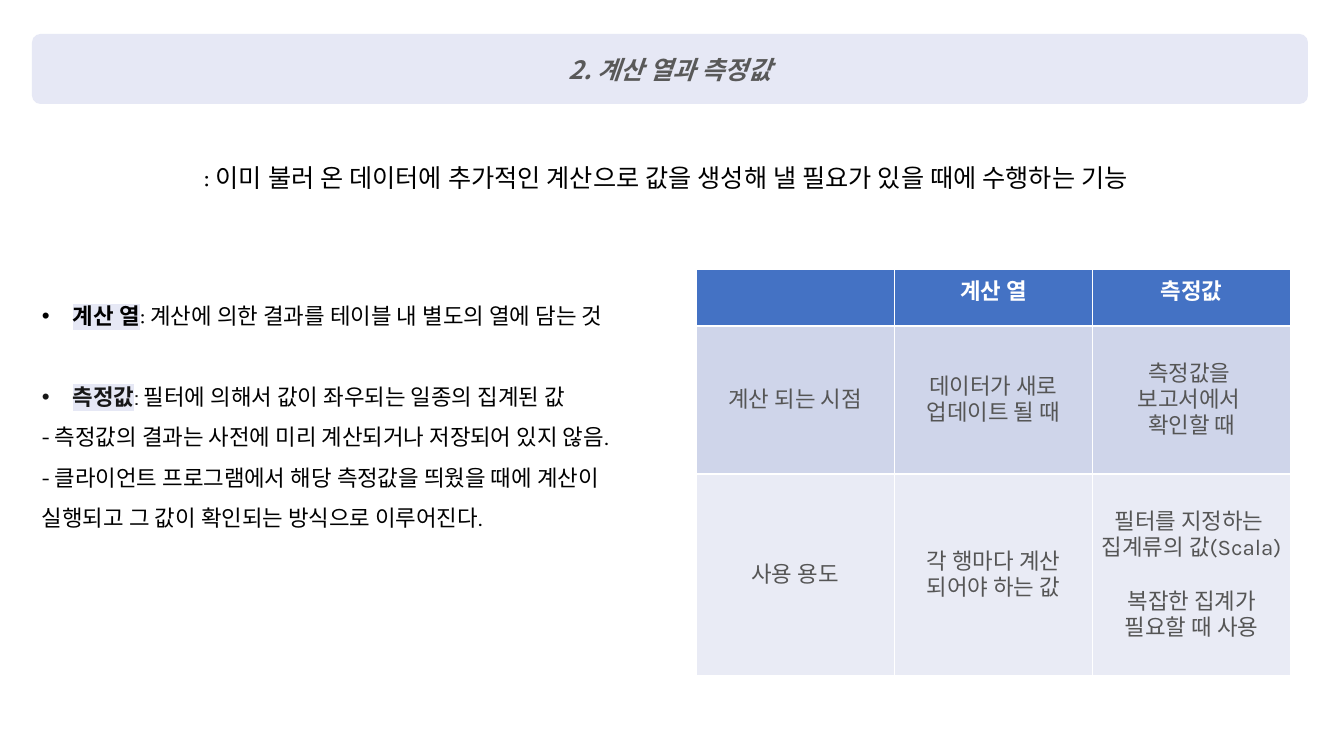
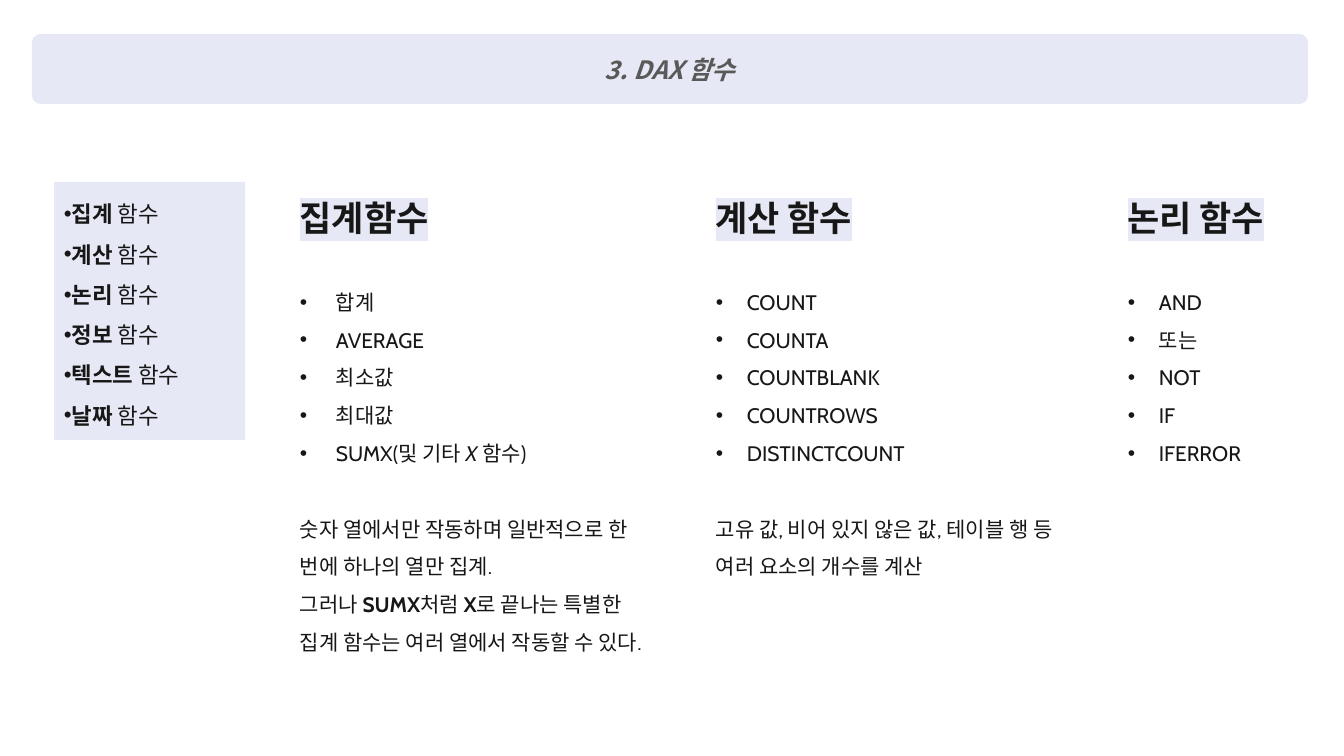
from dataclasses import dataclass, replace

from lxml import etree
from pptx import Presentation
from pptx.dml.color import RGBColor
from pptx.enum import shapes, text
from pptx.oxml import ns
from pptx.util import Pt

# Shared scale, colours and text styles
EMU_PER_PX = 914400 / 100.8
LAVENDER = RGBColor(0xE6, 0xE8, 0xF5)
TITLE_GREY = RGBColor(0x59, 0x59, 0x59)
CELL_GREY = RGBColor(0x55, 0x55, 0x55)
INK = RGBColor(0x17, 0x17, 0x17)
BLACK = RGBColor(0, 0, 0)
WHITE = RGBColor(0xFF, 0xFF, 0xFF)
HEADER_BLUE = RGBColor(0x44, 0x72, 0xC4)
BAND_DARK = RGBColor(0xCF, 0xD5, 0xEA)
BAND_LIGHT = RGBColor(0xE9, 0xEB, 0xF5)
CENTER = text.PP_ALIGN.CENTER
MIDDLE = text.MSO_ANCHOR.MIDDLE


@dataclass(frozen=True)
class Style:
    font: str
    size: int
    color: RGBColor
    bold: bool = False
    italic: bool = False
    marked: bool = False


TITLE = Style("Noto Sans CJK KR", 18, TITLE_GREY, bold=True, italic=True)
LEAD = Style("Karla", 18, BLACK)
NOTE = Style("Karla", 16, BLACK)
NOTE_TERM = replace(NOTE, bold=True, marked=True)
SIDE = Style("Cabin", 16, INK)
SIDE_BOLD = replace(SIDE, bold=True)
SIDE_TERM = replace(SIDE_BOLD, marked=True)
BODY = replace(SIDE, size=15)
BODY_BOLD = replace(BODY, bold=True)
BODY_ITALIC = replace(BODY, italic=True)
HEADING = replace(SIDE_TERM, size=25)
HEAD_CELL = Style("Noto Sans CJK KR", 16, WHITE, bold=True)
CELL = Style("Karla", 16, CELL_GREY)


def px(length):
    return round(length * EMU_PER_PX)


def box_emu(box):
    return [px(side) for side in box]


# Text helpers
def add_run(paragraph, words, style):
    run = paragraph.add_run()
    run.text = words
    font = run.font
    font.name, font.size = style.font, Pt(style.size)
    font.bold, font.italic = style.bold, style.italic
    font.color.rgb = style.color
    props = run._r.get_or_add_rPr()
    east_asian = etree.Element(ns.qn("a:ea"), typeface=style.font)
    props.find(ns.qn("a:latin")).addnext(east_asian)
    if style.marked:
        highlight = etree.Element(ns.qn("a:highlight"))
        etree.SubElement(highlight, ns.qn("a:srgbClr"), val=str(LAVENDER))
        props.find(ns.qn("a:solidFill")).addnext(highlight)


def set_indent(paragraph, margin, first):
    props = paragraph._p.get_or_add_pPr()
    props.set("marL", str(px(margin)))
    props.set("indent", str(px(first)))


def add_bullet(paragraph, hang):
    set_indent(paragraph, hang, -hang)
    props = paragraph._p.get_or_add_pPr()
    etree.SubElement(props, ns.qn("a:buFont"), typeface="Arial")
    etree.SubElement(props, ns.qn("a:buChar"), char="•")


def next_paragraph(frame):
    first = frame.paragraphs[0]
    return frame.add_paragraph() if first.runs else first


def write(frame, runs, hang=None, before=0, spacing=1.5, align=None):
    """Add one paragraph of (words, style) runs; hang=None means no bullet."""
    paragraph = next_paragraph(frame)
    paragraph.line_spacing = spacing
    paragraph.alignment = align
    if before:
        paragraph.space_before = Pt(before)
    if hang is not None:
        add_bullet(paragraph, hang)
    for words, style in runs:
        add_run(paragraph, words, style)
    return paragraph


def add_text_frame(slide, box):
    frame = slide.shapes.add_textbox(*box_emu(box)).text_frame
    frame.word_wrap = True
    return frame


def add_panel(slide, kind, box):
    panel = slide.shapes.add_shape(kind, *box_emu(box))
    panel.shadow.inherit = False
    panel.fill.solid()
    panel.fill.fore_color.rgb = LAVENDER
    panel.line.fill.background()
    return panel


def add_titled_slide(deck, title):
    slide = deck.slides.add_slide(deck.slide_layouts[6])
    band = add_panel(slide, shapes.MSO_SHAPE.ROUNDED_RECTANGLE, (32, 34, 1276, 70))
    band.adjustments[0] = 0.12
    band.text_frame.vertical_anchor = MIDDLE
    write(band.text_frame, [(title, TITLE)], spacing=1, align=CENTER)
    return slide


# Slide 1: calculated columns and measures
def fill_cell(cell, lines, style, color):
    cell.fill.solid()
    cell.fill.fore_color.rgb = color
    for line in lines:
        write(cell.text_frame, [(line, style)], spacing=1, align=CENTER)


def add_comparison(slide, box):
    header = [[], ["계산 열"], ["측정값"]]
    body = [
        [["계산 되는 시점"], ["데이터가 새로", "업데이트 될 때"],
         ["측정값을 ", "보고서에서 ", "확인할 때"]],
        [["사용 용도"], ["각 행마다 계산 되어야 하는 값"],
         ["필터를 지정하는 ", "집계류의 값(Scala)", "복잡한 집계가 필요할 때 사용"]],
    ]
    table = slide.shapes.add_table(3, 3, *box_emu(box)).table
    for column in table.columns:
        column.width = px(box[2] / 3)
    for row, height in zip(table.rows, (57, 148, 202)):
        row.height = px(height)
    for col, lines in enumerate(header):
        fill_cell(table.cell(0, col), lines, HEAD_CELL, HEADER_BLUE)
    for row, (cells, band) in enumerate(zip(body, (BAND_DARK, BAND_LIGHT)), 1):
        for col, lines in enumerate(cells):
            cell = table.cell(row, col)
            cell.vertical_anchor = MIDDLE
            cell.margin_left = cell.margin_right = px(6)
            cell.margin_top = cell.margin_bottom = px(6)
            fill_cell(cell, lines, CELL, band)
    set_indent(table.cell(1, 1).text_frame.paragraphs[0], 0, -20)
    table.cell(2, 2).text_frame.paragraphs[2].space_before = Pt(19.5)


def add_definitions(slide, box):
    frame = add_text_frame(slide, box)
    write(frame, [("계산 열", NOTE_TERM),
                  (": 계산에 의한 결과를 테이블 내 별도의 열에 담는 것", NOTE)], hang=31)
    write(frame, [("측정값", SIDE_TERM), (": ", SIDE),
                  ("필터에 의해서 값이 좌우되는 일종의 집계된 값", NOTE)],
          hang=31, before=29)
    for remark in (
        "- 측정값의 결과는 사전에 미리 계산되거나 저장되어 있지 않음.",
        "- 클라이언트 프로그램에서 해당 측정값을 띄웠을 때에 계산이 실행되고 "
        "그 값이 확인되는 방식으로 이루어진다.",
    ):
        write(frame, [(remark, NOTE)])


def add_measure_slide(deck):
    slide = add_titled_slide(deck, "2. 계산 열과 측정값")
    add_comparison(slide, (696, 269, 595, 407))
    add_definitions(slide, (32, 284, 644, 291))
    lead = add_text_frame(slide, (194, 142, 1034, 51))
    write(lead, [(": 이미 불러 온 데이터에 추가적인 계산으로 값을 생성해 낼 "
                  "필요가 있을 때에 수행하는 기능", LEAD)])


# Slide 2: DAX functions
def add_category_panel(slide, box):
    panel = add_panel(slide, shapes.MSO_SHAPE.RECTANGLE, box)
    frame = panel.text_frame
    frame.vertical_anchor = text.MSO_ANCHOR.TOP
    for category in ("집계", "계산", "논리", "정보", "텍스트", "날짜"):
        write(frame, [(category, SIDE_BOLD), (" 함수", SIDE)], hang=0,
              align=text.PP_ALIGN.LEFT)


def add_function_column(slide, box, heading, functions, remarks=(), hang=31):
    frame = add_text_frame(slide, box)
    write(frame, [(heading, HEADING)])
    for i, runs in enumerate(functions):
        write(frame, runs, hang=hang, before=0 if i else 27)
    for i, runs in enumerate(remarks):
        write(frame, runs, before=0 if i else 27)


def plain(*lines):
    return [[(line, BODY)] for line in lines]


def add_function_slide(deck):
    slide = add_titled_slide(deck, "3. DAX 함수")
    add_category_panel(slide, (54, 182, 191, 258))
    sumx = [("SUMX(및 기타 ", BODY), ("X", BODY_ITALIC), (" 함수)", BODY)]
    sumx_remark = [("그러나 ", BODY), ("SUMX", BODY_BOLD), ("처럼 ", BODY),
                   ("X", BODY_BOLD),
                   ("로 끝나는 특별한 집계 함수는 여러 열에서 작동할 수 있다.", BODY)]
    add_function_column(
        slide, (290, 171, 372, 527), "집계함수",
        plain("합계", "AVERAGE", "최소값", "최대값") + [sumx],
        plain("숫자 열에서만 작동하며 일반적으로 한 번에 하나의 열만 집계.")
        + [sumx_remark], hang=36)
    add_function_column(
        slide, (706, 171, 369, 412), "계산 함수",
        plain("COUNT", "COUNTA", "COUNTBLANK", "COUNTROWS", "DISTINCTCOUNT"),
        plain("고유 값, 비어 있지 않은 값, 테이블 행 등 여러 요소의 개수를 계산"))
    add_function_column(
        slide, (1118, 171, 213, 298), "논리 함수",
        plain("AND", "또는", "NOT", "IF", "IFERROR"))


def main():
    deck = Presentation()
    deck.slide_width, deck.slide_height = px(1344), px(756)
    add_measure_slide(deck)
    add_function_slide(deck)
    deck.save("out.pptx")


if __name__ == "__main__":
    main()
